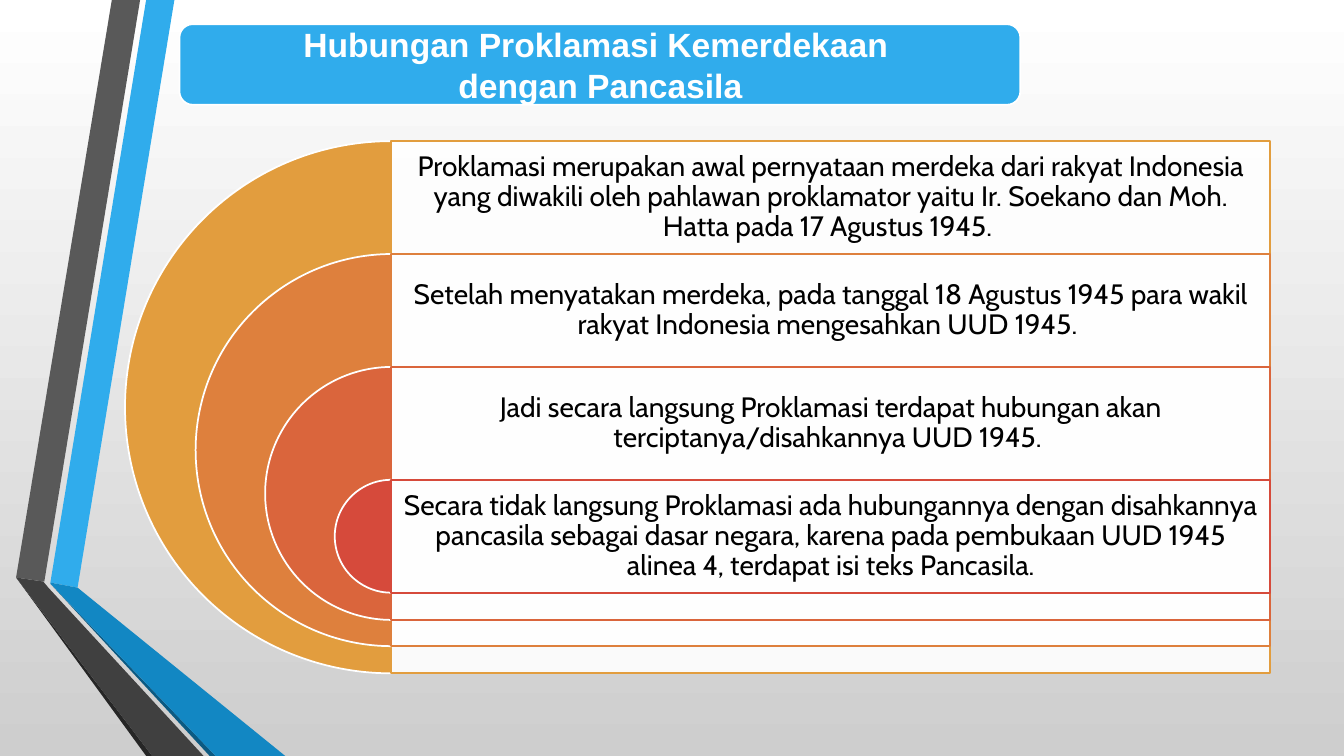
from lxml.etree import SubElement
from pptx import Presentation
from pptx.dml.color import RGBColor
from pptx.enum.shapes import MSO_SHAPE
from pptx.enum.text import MSO_ANCHOR, MSO_AUTO_SIZE, PP_ALIGN
from pptx.oxml.ns import qn
from pptx.util import Emu, Pt

PX = 9144
WHITE = RGBColor(0xFF, 0xFF, 0xFF)
BLACK = RGBColor(0, 0, 0)
SILVER = RGBColor(0xCE, 0xCE, 0xCE)
SKY = RGBColor(0x30, 0xAC, 0xEC)
BLUE = RGBColor(0x12, 0x87, 0xC3)
NAVY = RGBColor(0x0C, 0x5A, 0x82)
GRAY = RGBColor(0x59, 0x59, 0x59)
DARK = RGBColor(0x40, 0x40, 0x40)
COAL = RGBColor(0x26, 0x26, 0x26)
GOLD = RGBColor(0xE2, 0x9D, 0x3E)
ORANGE = RGBColor(0xDE, 0x80, 0x3D)
RUST = RGBColor(0xDA, 0x65, 0x3C)
RED = RGBColor(0xD6, 0x4A, 0x3B)

RIBBONS = [
    (SKY, [(50, 578), (77, 583), (173, 0), (145, 0)]),
    (GRAY, [(139, 0), (111, 0), (16, 573), (44, 577)]),
    (COAL, [(16, 573), (145, 750), (151, 750)]),
    (NAVY, [(50, 579), (208, 750), (214, 750)]),
    (BLUE, [(50, 579), (214, 750), (283, 750), (77, 583), (50, 578)]),
    (DARK, [(202, 750), (48, 583), (43, 577), (16, 573), (151, 750)]),
]
TITLE = ["Hubungan Proklamasi Kemerdekaan ", "dengan Pancasila"]
RINGS = [
    (GOLD, "Proklamasi merupakan awal pernyataan merdeka dari rakyat Indonesia "
           "yang diwakili oleh pahlawan proklamator yaitu Ir. Soekano dan Moh. "
           "Hatta pada 17 Agustus 1945. "),
    (ORANGE, "Setelah menyatakan merdeka, pada tanggal 18 Agustus 1945 para wakil "
             "rakyat Indonesia mengesahkan UUD 1945. "),
    (RUST, "Jadi secara langsung Proklamasi terdapat hubungan akan "
           "terciptanya/disahkannya UUD 1945. "),
    (RED, "Secara tidak langsung Proklamasi ada hubungannya dengan disahkannya "
          "pancasila sebagai dasar negara, karena pada pembukaan UUD 1945 "
          "alinea 4, terdapat isi teks Pancasila."),
]
HEAD = {"name": "Arial", "size": Pt(24), "bold": True}
BODY = {"name": "Cabin", "size": Pt(20), "bold": False}


def apply(item, values):
    for name, value in values.items():
        setattr(item, name, value)


class Deck:
    """Draws styled elements on one slide, with lengths in px."""

    def __init__(self, wide, high):
        self.file = Presentation()
        apply(self.file, {"slide_width": Emu(wide * PX), "slide_height": Emu(high * PX)})
        self.slide = self.file.slides.add_slide(self.file.slide_layouts[5])
        self.shapes = self.slide.shapes

    def backdrop(self, *colors):
        fill = self.slide.background.fill
        fill.gradient()
        fill.gradient_angle = 270
        for stop, color in zip(fill.gradient_stops, colors):
            stop.color.rgb = color

    def ribbon(self, color, points):
        start, *rest = points
        outline = self.shapes.build_freeform(*start, scale=PX)
        outline.add_line_segments(rest, close=True)
        self.paint(outline.convert_to_shape(), color)

    def paint(self, shape, color, line=None):
        shape.shadow.inherit = False
        shape.fill.solid()
        shape.fill.fore_color.rgb = color
        if line is None:
            shape.line.fill.background()
        else:
            shape.line.color.rgb = line
            shape.line.width = Pt(1.25)

    def block(self, kind, box, color, line, turns=(), alpha=None):
        shape = self.shapes.add_shape(kind, *(Emu(v * PX) for v in box))
        self.paint(shape, color, line)
        for spot, value in enumerate(turns):
            shape.adjustments[spot] = value
        if alpha is not None:
            tint = shape._element.spPr.find(qn("a:solidFill"))[0]
            SubElement(tint, qn("a:alpha")).set("val", str(alpha * 1000))

    def letter(self, shape, lines, font, color, pad, space):
        frame = shape.text_frame
        margins = ("margin_left", "margin_top", "margin_right", "margin_bottom")
        apply(frame, {"word_wrap": True, "auto_size": MSO_AUTO_SIZE.NONE,
                      "vertical_anchor": MSO_ANCHOR.MIDDLE,
                      **dict.fromkeys(margins, Emu(pad * PX))})
        frame.text = "\n".join(lines)
        for para in frame.paragraphs:
            apply(para, {"alignment": PP_ALIGN.CENTER, "line_spacing": space,
                         "space_before": Pt(0)})
            for run in para.runs:
                apply(run.font, font)
                run.font.color.rgb = color

    def title(self, box, lines):
        shape = self.shapes.title
        self.shapes._spTree.append(shape._element)
        apply(shape, dict(zip(("left", "top", "width", "height"),
                              (Emu(v * PX) for v in box))))
        self.letter(shape, lines, HEAD, WHITE, 10, 1.0)

    def text(self, box, line):
        shape = self.shapes.add_textbox(*(Emu(v * PX) for v in box))
        self.letter(shape, [line], BODY, BLACK, 8, 0.9)


def main():
    deck = Deck(1333, 750)
    deck.backdrop(WHITE, SILVER)
    for color, points in RIBBONS:
        deck.ribbon(color, points)
    deck.block(MSO_SHAPE.ROUNDED_RECTANGLE, (178, 24, 834, 80), SKY, WHITE)
    deck.title((182, 28, 827, 72), TITLE)

    mid, wide, step, full = 388, 872, 112, 528
    for rank, (color, line) in enumerate(RINGS):
        top = 140 + rank * step
        size = round(full - rank * (full - step) / (len(RINGS) - 1))
        deck.block(MSO_SHAPE.PIE, (mid - size // 2, top, size, size),
                   color, WHITE, turns=(54, 162))
        deck.block(MSO_SHAPE.RECTANGLE, (mid, top, wide, size), WHITE, color, alpha=90)
        deck.text((mid, top, wide, step), line)
    deck.file.save("out.pptx")


if __name__ == "__main__":
    main()
